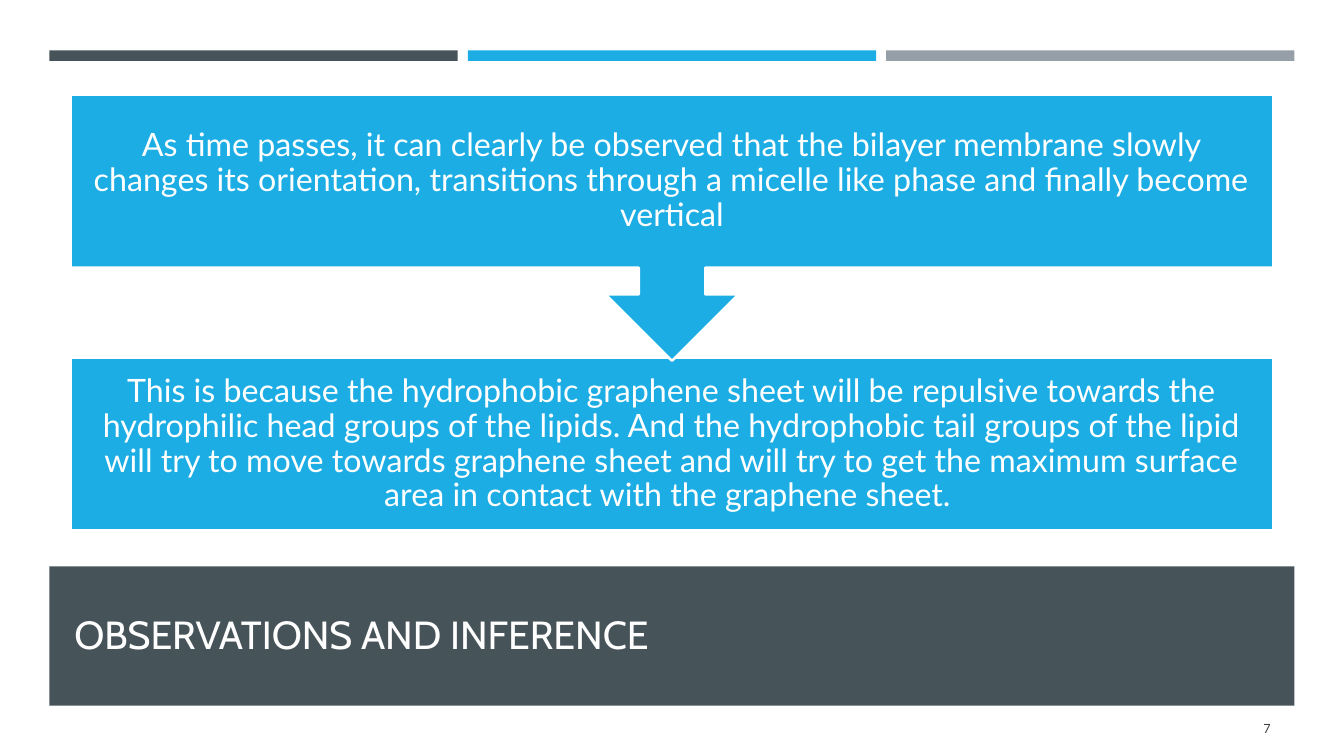
from pptx import Presentation
from pptx.dml.color import RGBColor
from pptx.enum.shapes import MSO_SHAPE
from pptx.enum.text import MSO_ANCHOR, PP_ALIGN
from pptx.util import Inches, Pt

RECTANGLE = MSO_SHAPE.RECTANGLE
ARROW_CALLOUT = MSO_SHAPE.UP_ARROW_CALLOUT
MIDDLE = MSO_ANCHOR.MIDDLE
LEFT, CENTER, RIGHT = PP_ALIGN.LEFT, PP_ALIGN.CENTER, PP_ALIGN.RIGHT

WHITE = RGBColor(0xFF, 0xFF, 0xFF)
TITLE_WHITE = RGBColor(0xFF, 0xFE, 0xFF)
SLATE = RGBColor(0x46, 0x53, 0x59)
BLUE = RGBColor(0x1C, 0xAD, 0xE4)
GRAY = RGBColor(0x96, 0x9F, 0xA7)
DARK_GRAY = RGBColor(0x40, 0x40, 0x40)

# Horizontal and vertical lengths are percentages of the slide's width and height.
MARGIN, CONTENT_WIDTH, BAR_GAP = 3.68, 92.64, 0.75
STEP_LEFT, STEP_WIDTH, STEP_HEIGHT = 5.25, 89.5, 22.87
OBSERVATION_TOP, INFERENCE_TOP, CALLOUT_HEIGHT = 12.53, 47.33, 35.2

OBSERVATION = (
    "As time passes, it can clearly be observed that the bilayer membrane slowly "
    "changes its orientation, transitions through a micelle like phase and finally "
    "become vertical"
)
INFERENCE = (
    "This is because the hydrophobic graphene sheet will be repulsive towards the "
    "hydrophilic head groups of the lipids. And the hydrophobic tail groups of the "
    "lipid will try to move towards graphene sheet and will try to get the maximum "
    "surface area in contact with the graphene sheet. "
)


class SlideBuilder:
    heading_font = "Cabin"
    body_font = "Lato"
    outline_width = Pt(1.75)
    step_inset = Inches(0.18)

    def __init__(self, deck):
        self.deck = deck
        self.slide = deck.slides.add_slide(deck.slide_layouts[6])

    def place(self, left, top, width, height):
        """Turn percentages of the slide into lengths."""
        across, down = self.deck.slide_width / 100, self.deck.slide_height / 100
        return (round(left * across), round(top * down),
                round(width * across), round(height * down))

    def shape(self, area, fill, preset=RECTANGLE, outline=None):
        shape = self.slide.shapes.add_shape(preset, *self.place(*area))
        shape.shadow.inherit = False
        shape.fill.solid()
        shape.fill.fore_color.rgb = fill
        if outline is None:
            shape.line.fill.background()
        else:
            shape.line.color.rgb = outline
            shape.line.width = self.outline_width
        return shape

    def text(self, area, words, size, color, font=body_font, align=LEFT):
        box = self.slide.shapes.add_textbox(*self.place(*area))
        frame = box.text_frame
        frame.word_wrap = True
        frame.vertical_anchor = MIDDLE
        frame.text = words
        para = frame.paragraphs[0]
        para.alignment = align
        span = para.runs[0]
        span.font.name = font
        span.font.size = Pt(size)
        span.font.color.rgb = color
        return box

    def step_text(self, top, words):
        area = (STEP_LEFT, top, STEP_WIDTH, STEP_HEIGHT)
        frame = self.text(area, words, 23, WHITE, align=CENTER).text_frame
        frame.margin_left = frame.margin_right = self.step_inset
        frame.margin_top = frame.margin_bottom = self.step_inset
        frame.paragraphs[0].line_spacing = 0.9


def main():
    deck = Presentation()
    deck.slide_width, deck.slide_height = Inches(13.33), Inches(7.5)
    page = SlideBuilder(deck)

    page.shape((MARGIN, 74.93, CONTENT_WIDTH, 18.4), SLATE)
    page.text((4.8, 76.8, 89.27, 14), "OBSERVATIONS AND INFERENCE", 28,
              TITLE_WHITE, font=page.heading_font)

    bar_colors = (SLATE, BLUE, GRAY)
    bar_width = (CONTENT_WIDTH - 2 * BAR_GAP) / len(bar_colors)
    for index, color in enumerate(bar_colors):
        left = MARGIN + index * (bar_width + BAR_GAP)
        page.shape((left, 6.67, bar_width, 1.4), color)

    page.text((86.65, 93.73, 8.63, 5.33), "7", 9, DARK_GRAY, align=RIGHT)

    page.shape((STEP_LEFT, INFERENCE_TOP, STEP_WIDTH, STEP_HEIGHT), BLUE, outline=WHITE)
    page.step_text(INFERENCE_TOP, INFERENCE)

    callout = page.shape((STEP_LEFT, OBSERVATION_TOP, STEP_WIDTH, CALLOUT_HEIGHT),
                         BLUE, ARROW_CALLOUT, WHITE)
    callout.rotation = 180
    page.step_text(OBSERVATION_TOP, OBSERVATION)

    deck.save("out.pptx")


if __name__ == "__main__":
    main()
